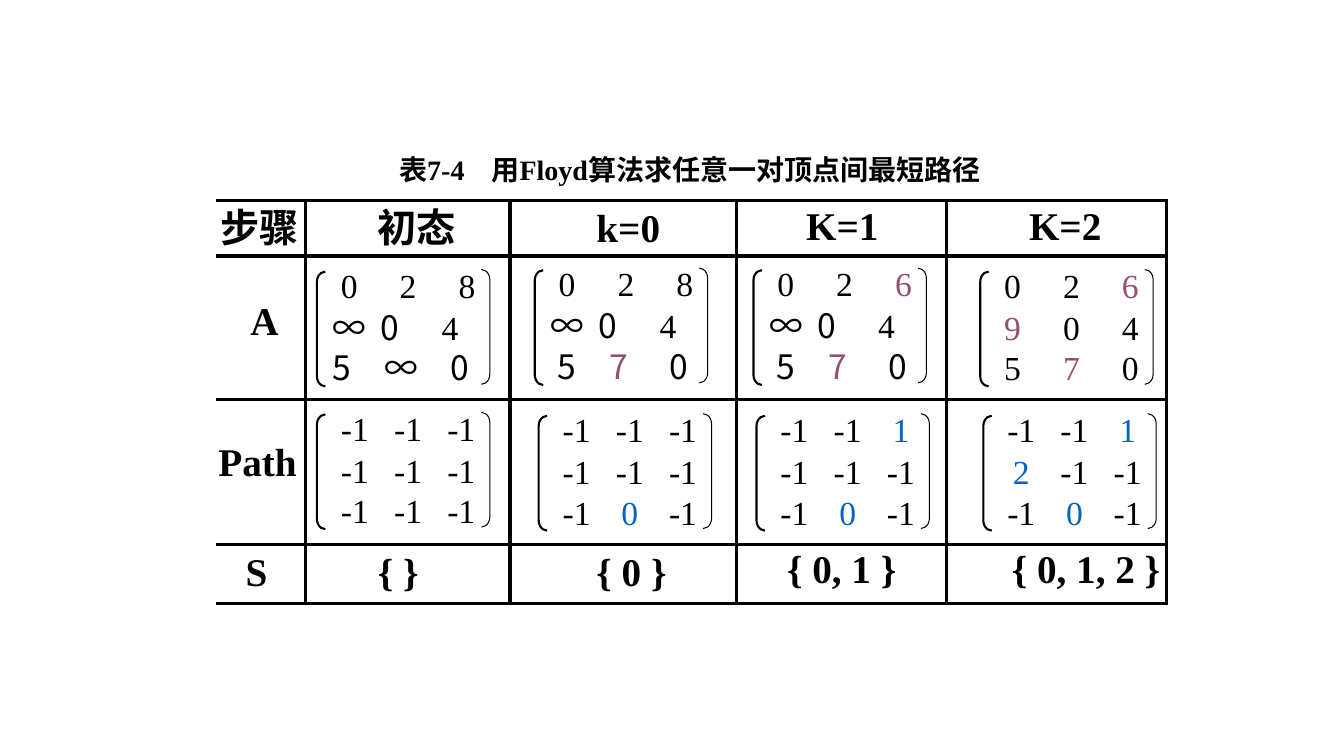
from dataclasses import dataclass
from lxml.etree import SubElement
from pptx import Presentation
from pptx.dml.color import RGBColor
from pptx.enum.shapes import MSO_CONNECTOR, MSO_SHAPE
from pptx.enum.text import MSO_ANCHOR, PP_ALIGN
from pptx.oxml.ns import qn
from pptx.util import Pt


@dataclass(frozen=True)
class Theme:
    ink: str = "000000"
    cost: str = "954F72"
    hop: str = "0563C1"
    serif: str = "Times New Roman"
    sans: str = "Noto Sans CJK SC"
    title: int = 20
    cell: int = 24
    head: int = 28
    rule: float = 2.25
    thick: float = 1.5
    thin: float = 0.75


class Board:
    def __init__(self, slide, theme):
        self.slide = slide
        self.theme = theme

    def box(self, x, y, w, h, left=7.2):
        frame = self.slide.shapes.add_textbox(Pt(x), Pt(y), Pt(w), Pt(h)).text_frame
        frame.word_wrap = True
        frame.vertical_anchor = MSO_ANCHOR.MIDDLE
        frame.margin_left, frame.margin_right = Pt(left), Pt(0)
        return frame.paragraphs[0]

    def run(self, para, text, size, color=None, face=None, bold=False):
        run = para.add_run()
        run.text = text
        font = run.font
        font.size, font.bold = Pt(size), bold
        font.color.rgb = RGBColor.from_string(color or self.theme.ink)
        font.name = face or self.theme.serif
        SubElement(run._r.get_or_add_rPr(), qn("a:ea"), typeface=self.theme.sans)

    def stops(self, para, places, align):
        """Put tab stops, given in points, into the paragraph."""
        tabs = SubElement(para._p.get_or_add_pPr(), qn("a:tabLst"))
        for place in places:
            SubElement(tabs, qn("a:tab"), pos=str(int(Pt(place))), algn=align)

    def title(self, x, y, w, h):
        para = self.box(x, y, w, h)
        self.stops(para, [66], "l")
        self.run(para, "表7-4\t用Floyd算法求任意一对顶点间", self.theme.title, bold=True)
        self.run(para, "最短路径", self.theme.title, face=self.theme.sans, bold=True)

    def label(self, text, x, y, w, mid=False):
        para = self.box(x, y, w, 34, 0 if mid else 7.2)
        para.alignment = PP_ALIGN.CENTER if mid else PP_ALIGN.LEFT
        self.run(para, text, self.theme.head, bold=True)

    def row(self, x, y, cells, places, sans, mark):
        """Write one matrix row; the first cells are sans, a star marks a change."""
        para = self.box(x, y, 118, 25)
        self.stops(para, places, "ctr")
        for i, cell in enumerate(cells.split()):
            face = self.theme.sans if i < sans else self.theme.serif
            color = mark if cell.endswith("*") else self.theme.ink
            self.run(para, "\t" + cell.rstrip("*"), self.theme.cell, color, face)

    def brace(self, kind, x, y, width):
        shape = self.slide.shapes.add_shape(kind, Pt(x), Pt(y), Pt(6), Pt(82))
        shape.shadow.inherit = False
        shape.adjustments[0] = 1.22
        shape.fill.background()
        shape.line.color.rgb = RGBColor.from_string(self.theme.ink)
        shape.line.width = Pt(width)

    def matrix(self, x, y, rows, mark):
        for drop, (cells, places, sans) in zip((0, 30, 59), rows):
            self.row(x, y + drop, cells, places, sans, mark)
        self.brace(MSO_SHAPE.LEFT_BRACKET, x - 4, y + 3, self.theme.thick)
        self.brace(MSO_SHAPE.RIGHT_BRACKET, x + 113.5, y + 1.5, self.theme.thin)

    def rule(self, x1, y1, x2, y2):
        line = self.slide.shapes.add_connector(
            MSO_CONNECTOR.STRAIGHT, Pt(x1), Pt(y1), Pt(x2), Pt(y2))
        line.line.color.rgb = RGBColor.from_string(self.theme.ink)
        line.line.width = Pt(self.theme.rule)
        SubElement(line._element.spPr, qn("a:effectLst"))


# Column centres of the matrix rows
EVEN = (12, 54, 96)
NEAR = (12, 41, 84)
LEFT = (6, 49, 91)
MIXED = (12, 49, 92)
PAIR = (16, 54, 92)

INF = ("∞ 0 4", NEAR, 2)
COSTS = [
    (230.4, 191, [("0 2 8", EVEN, 0), INF, ("5 ∞ 0", LEFT, 3)]),
    (386, 190, [("0 2 8", EVEN, 0), INF, ("5 7* 0", MIXED, 3)]),
    (542.2, 190, [("0 2 6*", EVEN, 0), INF, ("5 7* 0", MIXED, 3)]),
    (704.2, 191, [("0 2 6*", EVEN, 0), ("9* 0 4", EVEN, 0), ("5 7* 0", EVEN, 0)]),
]
PATHS = [
    (230.4, 293, ["-1 -1 -1", "-1 -1 -1", "-1 -1 -1"]),
    (388.8, 294, ["-1 -1 -1", "-1 -1 -1", "-1 0* -1"]),
    (544.4, 294, ["-1 -1 1*", "-1 -1 -1", "-1 0* -1"]),
    (706.4, 294, ["-1 -1 1*", "2* -1 -1", "-1 0* -1"]),
]
# Text, left, top, width, centred
LABELS = [
    ("步骤", 154, 144.7, 62.6, True), ("初态", 262.8, 144.7, 72, False),
    ("k=0", 419, 144.7, 72, False), ("K=1", 568.8, 143.3, 72, False),
    ("K=2", 728, 143.3, 72, False),
    ("A", 172, 211.7, 33.8, True), ("Path", 149, 311.8, 69, False),
    ("S", 166.3, 391, 33.8, True), ("{ }", 262.8, 391, 60, False),
    ("{ 0 }", 419, 391, 72, False), ("{ 0, 1 }", 555.1, 388.8, 96, False),
    ("{ 0, 1, 2 }", 715.7, 388.8, 120, False),
]
ROWS = (143.3, 182.9, 285.1, 388.8, 431.3)
COLS = (218.2, 364.3, 526.3, 676.1, 833)


def main():
    deck = Presentation()
    deck.slide_width, deck.slide_height = Pt(960), Pt(540)
    theme = Theme()
    board = Board(deck.slides.add_slide(deck.slide_layouts[6]), theme)
    board.title(278, 108.7, 450, 25)
    for x, y, rows in COSTS:
        board.matrix(x, y, rows, theme.cost)
    for x, y, rows in PATHS:
        board.matrix(x, y, [(cells, PAIR, 0) for cells in rows], theme.hop)
    for label in LABELS:
        board.label(*label)
    for y in ROWS:
        board.rule(154, y, 834.4, y)
    for x in COLS:
        board.rule(x, ROWS[0], x, 432)
    deck.save("out.pptx")


if __name__ == "__main__":
    main()
